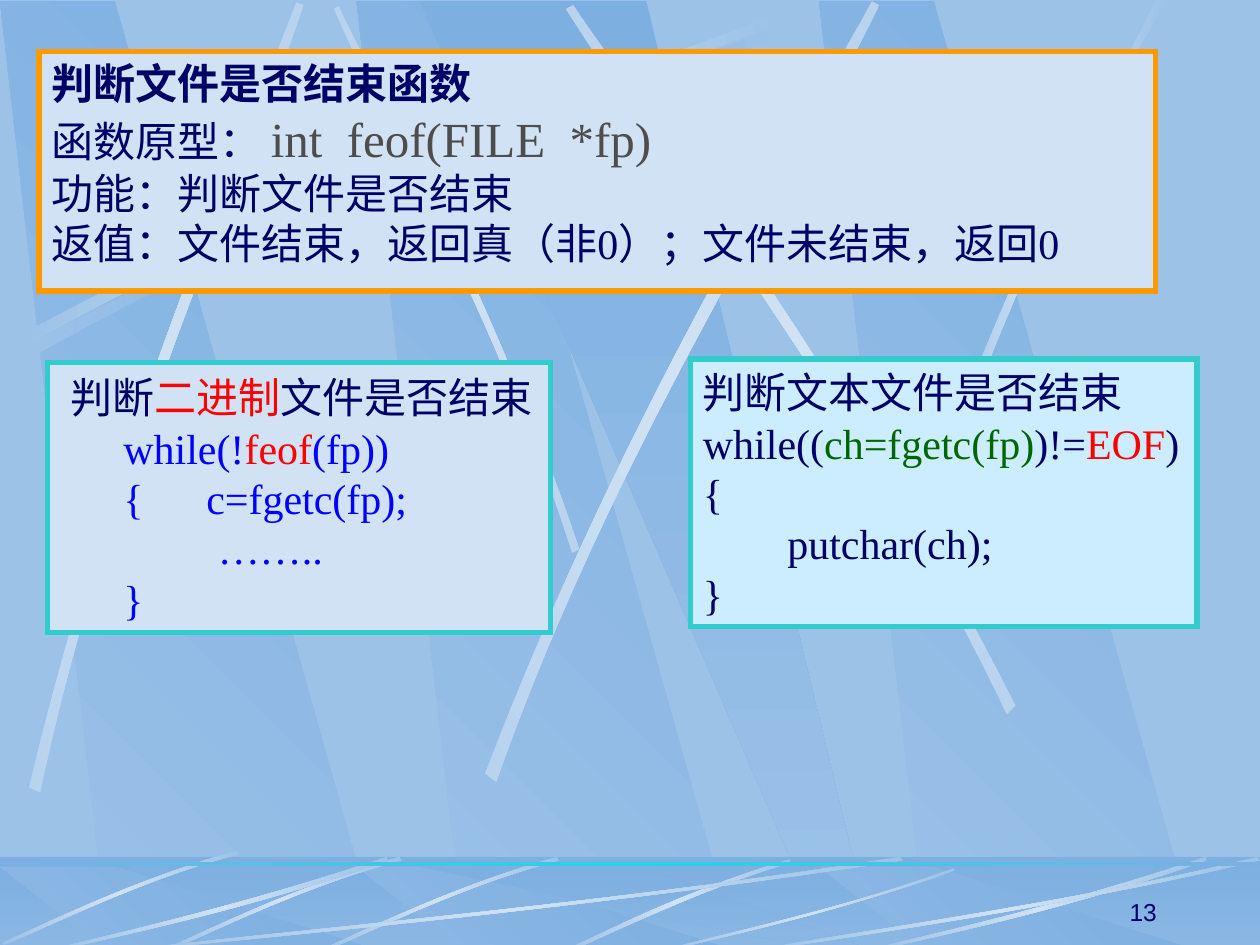
from lxml import etree
from pptx import Presentation
from pptx.dml.color import RGBColor
from pptx.enum.shapes import MSO_SHAPE
from pptx.enum.text import MSO_ANCHOR, MSO_AUTO_SIZE, PP_ALIGN
from pptx.oxml import parse_xml
from pptx.oxml.ns import qn
from pptx.util import Inches, Pt

BASE, DEEP, PALE, SOFT = "9CC2E8", "7DAFE1", "D0E2F4", "B8D3EE"
NAVY, RED, BLUE, GREEN, GRAY = "000066", "FF0000", "0000FF", "006600", "4D4D4D"
NS = "http://schemas.openxmlformats.org/drawingml/2006/main"

prs = Presentation()
prs.slide_width, prs.slide_height = Inches(10), Inches(7.5)
slide = prs.slides.add_slide(prs.slide_layouts[6])
slide.background.fill.solid()
slide.background.fill.fore_color.rgb = RGBColor.from_string(BASE)
shapes = slide.shapes


def paint(s, colors, ang):
    stops = "".join(
        f'<a:gs pos="{i * 100000 // (len(colors) - 1)}"><a:srgbClr val="{c}"/></a:gs>'
        for i, c in enumerate(colors))
    s._element.spPr.insert(2, parse_xml(
        f'<a:gradFill xmlns:a="{NS}" rotWithShape="1"><a:gsLst>{stops}</a:gsLst>'
        f'<a:lin ang="{round(ang * 60000)}" scaled="0"/></a:gradFill>'))
    s.line.fill.background()
    s.shadow.inherit = False


def outline(pts, colors, ang):
    emu = [(Inches(x), Inches(y)) for x, y in pts]
    fb = shapes.build_freeform(*emu[0], scale=1.0)
    fb.add_line_segments(emu[1:], close=True)
    s = fb.convert_to_shape()
    paint(s, colors, ang)
    return s


sweep = [(0.14, 2.67), (2.78, 1.25), (5.18, 0.51), (6.2, 0.1),
         (6.23, 0.16), (5.22, 0.61), (2.48, 1.43), (0.17, 2.77)]
ray = [(0, 0.73), (0.45, 0.62), (1.5, 0.39), (2.65, 0),
       (2.66, 0.03), (1.51, 0.43), (0.46, 0.64), (0.01, 0.75)]
glint = [(1.86, 0), (0.99, 0.25), (0.31, 0.6), (0, 0.73),
         (0.01, 0.75), (0.32, 0.63), (1.09, 0.23), (1.88, 0.03)]
upper = [
    (0.06, 0.08, BASE, DEEP, 0, sweep),
    (0, 0, SOFT, PALE, 45, [(4.6, 4.36), (3.91, 2.34), (3.02, 0.77), (2.69, 0.05),
                            (2.65, 0.07), (2.95, 0.79), (3.98, 2.58), (4.54, 4.39)]),
    (0, 0, BASE, PALE, 0, sweep),
    (0, 0, SOFT, PALE, 311.7, [(0.23, 6.25), (0.93, 3.34), (1.97, 1.05), (2.35, 0.02),
                               (2.41, 0.04), (2.07, 1.09), (0.86, 3.68), (0.32, 6.29)]),
    (0, 0, SOFT, PALE, 321.6, [(3.85, 6.14), (4.98, 3.2), (6.38, 1.02), (6.92, 0.01),
                               (6.98, 0.04), (6.49, 1.08), (4.86, 3.55), (3.94, 6.21)]),
    (0, 0, SOFT, PALE, 34.7, [(8.06, 5.6), (6.7, 2.93), (5.16, 0.95), (4.55, 0.04),
                              (4.49, 0.07), (5.07, 1.01), (6.85, 3.25), (7.99, 5.67)]),
    (0, 0, BASE, PALE, 0, [(7.38, 3.94), (8.14, 1.73), (8.88, 0.66), (9.17, 0),
                           (9.27, 0), (8.36, 1.45), (7.69, 3.22), (7.44, 3.97)]),
]
lower = [
    (0, 0, BASE, PALE, 0, [(6.27, 6.82), (5.37, 7.09), (4.77, 7.42), (4.48, 7.54),
                           (4.53, 7.55), (4.9, 7.38), (5.71, 7), (6.28, 6.85)]),
    (2.56, 6.8, BASE, PALE, 315, glint),
    (1.31, 6.8, BASE, PALE, 315, glint),
    (0.02, 6.75, BASE, PALE, 315, glint),
    (0, 0, BASE, PALE, 0, [(1, 7.54), (2.02, 7.41), (4.8, 7.18), (7.14, 6.8),
                           (7.17, 6.83), (4.49, 7.23), (2.06, 7.44), (1.03, 7.55)]),
    (0.42, 6.8, BASE, PALE, 0, ray),
    (0, 0, BASE, PALE, 0, [(5.27, 7.54), (5.65, 7.43), (6.69, 7.22), (7.57, 6.89),
                           (7.58, 6.91), (6.58, 7.26), (5.67, 7.45), (5.28, 7.55)]),
    (6.92, 6.8, BASE, PALE, 0, ray),
    (0, 0, BASE, PALE, 0, [(6, 7.54), (6.66, 7.41), (8.46, 7.18), (9.98, 6.8),
                           (10, 6.83), (8.27, 7.23), (6.69, 7.44), (6.02, 7.55)]),
]
floor = [Inches(v) for v in (0, 6.8, 10, 0.75)]

for top, height, streaks in ((0.01, 7.51, upper), (6.88, 0.67, lower)):
    low = top + height
    if streaks is lower:
        paint(shapes.add_shape(MSO_SHAPE.RECTANGLE, *floor), [DEEP, BASE], 90)
    for x in (2.83, 0, 6.5):
        outline([(x + 0.86, low), (x + 3.02, low), (x + 0.91, top), (x, top)],
                [BASE, DEEP], 315)
    outline([(3.33, top), (6.58, low), (6.94, low), (5.13, top)], [DEEP, BASE], 90)
    if streaks is lower:
        veil = shapes.add_shape(MSO_SHAPE.RECTANGLE, *floor)
        veil.fill.solid()
        veil.fill.fore_color.rgb = RGBColor.from_string(DEEP)
        clr = veil._element.spPr.find(".//" + qn("a:srgbClr"))
        etree.SubElement(clr, qn("a:alpha")).set("val", "50000")
        veil.line.fill.background()
        veil.shadow.inherit = False
    for dx, dy, end, mid, ang, ctrl in streaks:
        s = outline([(dx + x, dy + y) for x, y in ctrl], [end, mid, end], ang)
        segs = list(s._element.spPr.iter(qn("a:lnTo")))
        for trio in (segs[:3], segs[4:7]):
            bez = etree.Element(qn("a:cubicBezTo"))
            trio[0].addprevious(bez)
            for seg in trio:
                bez.append(seg[0])
                seg.getparent().remove(seg)

horizon = shapes.add_shape(MSO_SHAPE.RECTANGLE, 0, Inches(6.84), Inches(10), Inches(0.03))
paint(horizon, [DEEP, "26D2E4", DEEP], 0)

boxes = [
    ((0.38, 2.88, 3.99, 2.14), PALE, "33CCCC", MSO_ANCHOR.MIDDLE, [
        (0.08, [("判断", NAVY), ("二进制", RED), ("文件是否结束", NAVY)]),
        (0.5, [("while(!", BLUE), ("feof", RED), ("(fp))", BLUE)]),
        (0.5, [("{      c=fgetc(fp);", BLUE)]),
        (1.25, [("……..", BLUE)]),
        (0.5, [("}", BLUE)])]),
    ((5.48, 2.85, 4.02, 2.12), "CCECFF", "33CCCC", MSO_ANCHOR.MIDDLE, [
        (0, [("判断文本文件是否结束", NAVY)]),
        (0, [("while((", NAVY), ("ch=fgetc(fp)", GREEN), (")!=", NAVY),
             ("EOF", RED), (")", NAVY)]),
        (0, [("{", NAVY)]),
        (0.67, [("putchar(ch);", NAVY)]),
        (0, [("}", NAVY)])]),
    ((0.31, 0.41, 8.86, 1.9), PALE, "FF9900", MSO_ANCHOR.TOP, [
        (0, [("判断文件是否结束函数", NAVY)]),
        (0, [("函数原型： ", NAVY), ("int  feof(FILE  *fp)", GRAY)]),
        (0, [("功能：判断文件是否结束", NAVY)]),
        (0, [("返值：文件结束，返回真（非0）；文件未结束，返回0", NAVY)])]),
]
for at, fill, edge, anchor, lines in boxes:
    s = shapes.add_shape(MSO_SHAPE.RECTANGLE, *[Inches(v) for v in at])
    s.shadow.inherit = False
    s.fill.solid()
    s.fill.fore_color.rgb = RGBColor.from_string(fill)
    s.line.color.rgb = RGBColor.from_string(edge)
    s.line.width = Pt(3)
    etree.SubElement(s._element.spPr.find(qn("a:ln")), qn("a:miter")).set("lim", "800000")
    tf = s.text_frame
    tf.word_wrap = anchor == MSO_ANCHOR.TOP
    if not tf.word_wrap:
        tf.auto_size = MSO_AUTO_SIZE.SHAPE_TO_FIT_TEXT
    tf.vertical_anchor = anchor
    for i, (indent, runs) in enumerate(lines):
        p = tf.add_paragraph() if i else tf.paragraphs[0]
        p.alignment = PP_ALIGN.LEFT
        p._p.get_or_add_pPr().set("marL", str(Inches(indent)))
        for text, color in runs:
            r = p.add_run()
            r.text = text
            r.font.name = "Times New Roman"
            r.font.size = Pt(28 if color == GRAY else 24)
            r.font.bold = anchor == MSO_ANCHOR.TOP and i == 0
            r.font.color.rgb = RGBColor.from_string(color)

number = shapes.add_textbox(Inches(7.2), Inches(6.9), Inches(2.08), Inches(0.5))
tf = number.text_frame
tf.word_wrap = True
tf.vertical_anchor = MSO_ANCHOR.BOTTOM
tf.text = "13"
p = tf.paragraphs[0]
p.alignment = PP_ALIGN.RIGHT
r = p.runs[0]
r.font.name = "Arial"
r.font.size = Pt(14)
r.font.color.rgb = RGBColor.from_string(NAVY)

prs.save("out.pptx")
